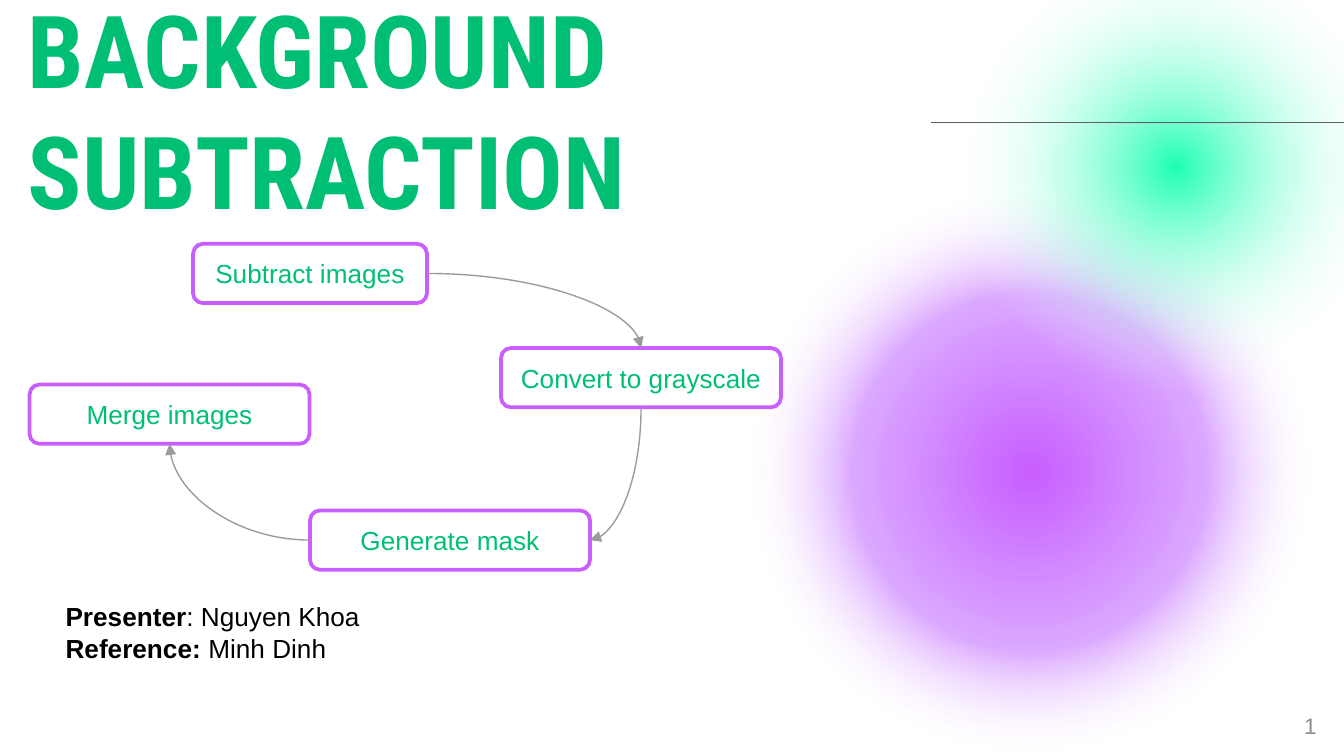
from pptx import Presentation
from pptx.dml.color import RGBColor
from pptx.enum.shapes import MSO_CONNECTOR as LINE, MSO_SHAPE as SHAPE
from pptx.enum.text import MSO_ANCHOR as ANCHOR, PP_ALIGN as ALIGN
from pptx.oxml import parse_xml
from pptx.oxml.ns import nsdecls
from pptx.util import Cm, Pt

THEME = {
    "green": "00BF75", "mint": "1EFFB2", "purple": "C95EFF", "violet": "BF62FF",
    "white": "FFFFFF", "black": "000000", "rule": "5F5F5F", "arrow": "9B9B9B",
    "number": "8D8D8D", "display": "Roboto Condensed", "body": "Arial",
    "title_size": 54, "body_size": 14, "number_size": 12,
}
TOP, LEFT, BOTTOM, RIGHT = range(4)  # connection sites of a box


def write(shape, lines, size, color, font="body", anchor=ANCHOR.TOP, align=ALIGN.LEFT):
    """Fill a shape with lines, each a list of (text, bold) pieces."""
    frame = shape.text_frame
    frame.word_wrap = True
    frame.vertical_anchor = anchor
    for index, pieces in enumerate(lines):
        paragraph = frame.add_paragraph() if index else frame.paragraphs[0]
        paragraph.alignment = align
        for text, bold in pieces:
            run = paragraph.add_run()
            run.text = text
            run.font.name = THEME[font]
            run.font.size = Pt(THEME[size])
            run.font.bold = bold
            run.font.color.rgb = RGBColor.from_string(THEME[color])
    return frame


def draw_line(kind, ends, color):
    """Add a thin connector without a shadow."""
    line = slide.shapes.add_connector(kind, *map(Cm, ends))
    line.line.width = Pt(0.75)
    line.line.color.rgb = RGBColor.from_string(THEME[color])
    line._element.spPr.append(parse_xml(f"<a:effectLst {nsdecls('a')}/>"))
    return line


deck = Presentation()
deck.slide_width, deck.slide_height = Cm(25.4), Cm(14.29)
slide = deck.slides.add_slide(deck.slide_layouts[6])

# Glowing circles: left, top, diameter, stops of (position %, colour, opacity %)
glows = [
    (13.18, 2.64, 12.55, [(0, "purple", 100), (38, "violet", 54), (61, "white", 0), (100, "white", 0)]),
    (16.23, -2.84, 11.96, [(0, "mint", 100), (50, "white", 0), (100, "white", 0)]),
]
for left, top, diameter, stops in glows:
    glow = slide.shapes.add_shape(SHAPE.OVAL, Cm(left), Cm(top), Cm(diameter), Cm(diameter))
    glow.shadow.inherit = False
    glow.line.fill.background()
    glow.fill.background()
    stop_xml = "".join(
        f'<a:gs pos="{position * 1000}"><a:srgbClr val="{THEME[color]}">'
        f'<a:alpha val="{opacity * 1000}"/></a:srgbClr></a:gs>'
        for position, color, opacity in stops)
    gradient = parse_xml(
        f'<a:gradFill {nsdecls("a")} rotWithShape="1"><a:gsLst>{stop_xml}</a:gsLst>'
        '<a:path path="circle"><a:fillToRect l="50000" t="50000" r="50000" b="50000"/>'
        '</a:path></a:gradFill>')
    properties = glow._element.spPr
    properties.replace(properties.find("{*}noFill"), gradient)

draw_line(LINE.STRAIGHT, (17.6, 2.31, 25.55, 2.31), "rule")

title = slide.shapes.add_textbox(Cm(0.28), Cm(0.05), Cm(17.32), Cm(4.55))
frame = write(title, [[("BACKGROUND SUBTRACTION", True)]], "title_size", "green",
              font="display", anchor=ANCHOR.BOTTOM)
frame.margin_top = frame.margin_bottom = Cm(0.25)

number = slide.shapes.add_textbox(Cm(23.83), Cm(13.23), Cm(1.3), Cm(0.99))
write(number, [[("1", False)]], "number_size", "number", anchor=ANCHOR.MIDDLE, align=ALIGN.RIGHT)

credits = slide.shapes.add_textbox(Cm(0.99), Cm(11.23), Cm(6.88), Cm(1.45))
write(credits, [[("Presenter", True), (": Nguyen Khoa", False)],
                [("Reference: ", True), ("Minh Dinh", False)]], "body_size", "black")

# Process steps: text, left, top, width
steps = []
for text, left, top, width in [
    ("Subtract images", 3.65, 4.61, 4.42),
    ("Convert to grayscale", 9.47, 6.58, 5.29),
    ("Generate mask", 5.86, 9.65, 5.29),
    ("Merge images", 0.56, 7.27, 5.29),
]:
    step = slide.shapes.add_shape(SHAPE.ROUNDED_RECTANGLE, Cm(left), Cm(top), Cm(width), Cm(1.12))
    step.shadow.inherit = False
    step.fill.background()
    step.line.width = Pt(2)
    step.line.color.rgb = RGBColor.from_string(THEME["purple"])
    write(step, [[(text, False)]], "body_size", "green", anchor=ANCHOR.MIDDLE, align=ALIGN.CENTER)
    steps.append(step)

# Each arrow joins a step to the next one
sites = [(RIGHT, TOP), (BOTTOM, RIGHT), (LEFT, BOTTOM)]
for source, target, (start, end) in zip(steps, steps[1:], sites):
    arrow = draw_line(LINE.CURVE, (0, 0, 1, 1), "arrow")
    arrow.begin_connect(source, start)
    arrow.end_connect(target, end)
    properties = arrow._element.spPr
    properties.find("{*}prstGeom").set("prst", "curvedConnector2")
    if start == BOTTOM:  # the curve leaves downwards, so its frame is a quarter turn
        across, down = arrow.width, arrow.height
        shift = (down - across) // 2
        arrow.left, arrow.top = arrow.left - shift, arrow.top + shift
        arrow.width, arrow.height = down, across
        frame_xml = properties.find("{*}xfrm")
        frame_xml.attrib.clear()
        frame_xml.set("rot", "5400000")
    arrow.line._get_or_add_ln().append(parse_xml(f'<a:tailEnd {nsdecls("a")} type="triangle"/>'))

deck.save("out.pptx")
